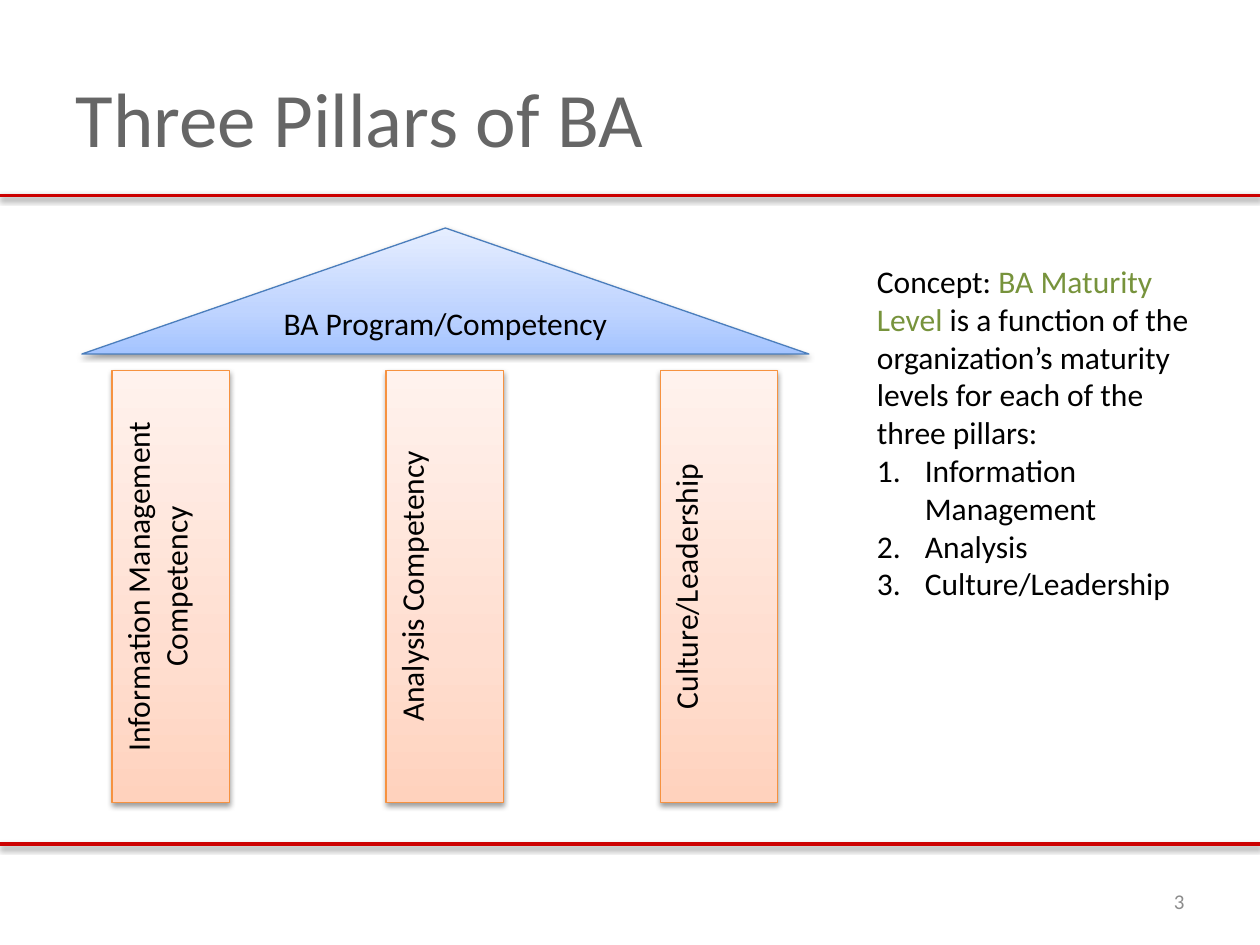
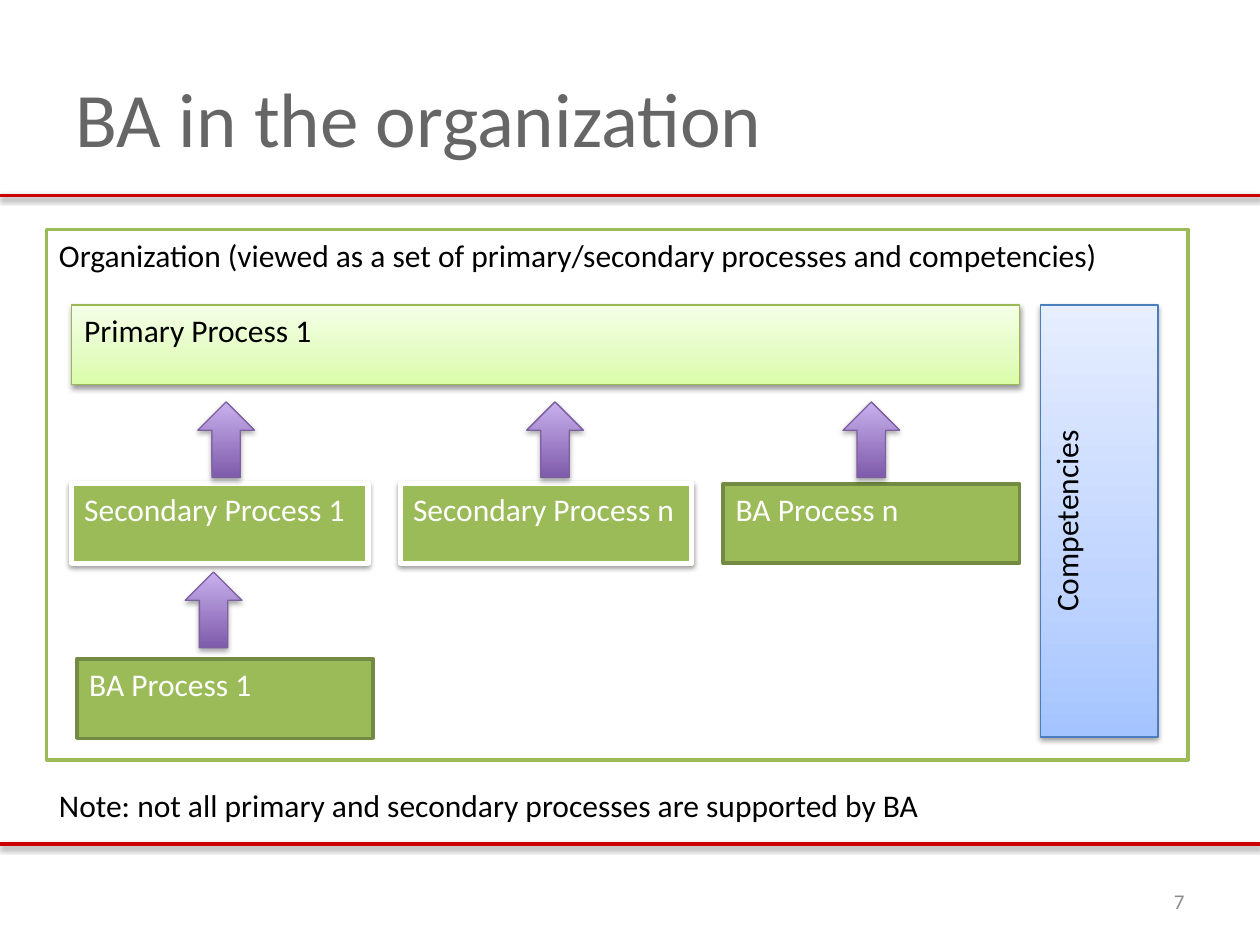
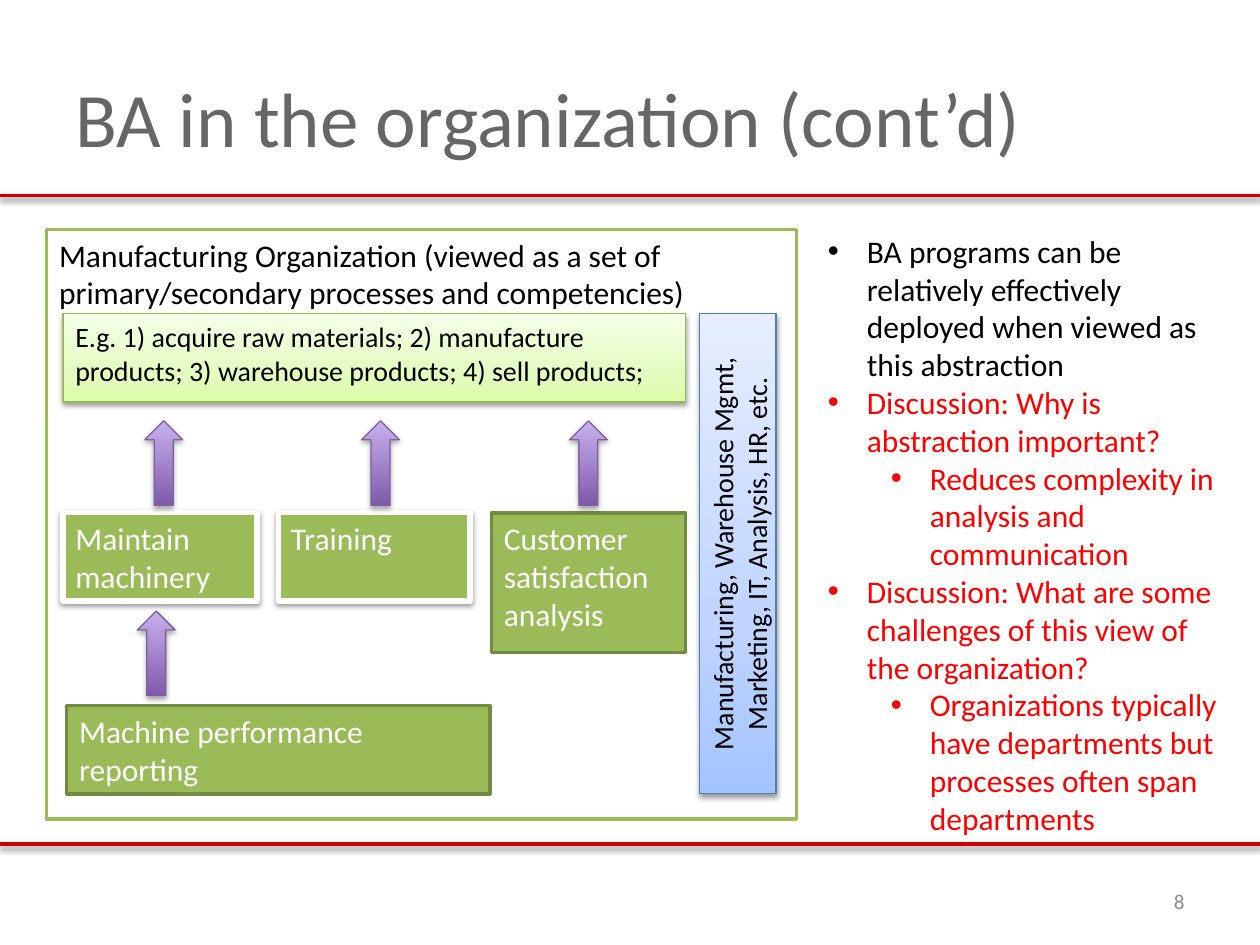
from lxml import etree
from pptx import Presentation
from pptx.dml.color import RGBColor
from pptx.enum.shapes import MSO_CONNECTOR, MSO_SHAPE
from pptx.enum.text import MSO_ANCHOR, MSO_AUTO_SIZE, PP_ALIGN
from pptx.oxml.ns import qn
from pptx.util import Inches, Pt

PROCESS, ROOF, ARROW = (MSO_SHAPE.FLOWCHART_PROCESS, MSO_SHAPE.ISOSCELES_TRIANGLE,
                        MSO_SHAPE.UP_ARROW)
STRAIGHT = MSO_CONNECTOR.STRAIGHT
LEFT, CENTER, RIGHT = PP_ALIGN.LEFT, PP_ALIGN.CENTER, PP_ALIGN.RIGHT
TOP, MIDDLE = MSO_ANCHOR.TOP, MSO_ANCHOR.MIDDLE
NO_AUTOFIT = MSO_AUTO_SIZE.NONE

FONT = "Calibri"
COLORS = {
    "title": "666666", "number": "8C8C8C", "band": "CC0000", "text": "000000",
    "white": "FFFFFF", "accent": "77933C", "discussion": "FF0000",
    "green": "9BBB59", "green edge": "98B955", "dark green": "738A42",
    "orange edge": "F69240", "blue edge": "4B7EBC", "purple edge": "7D60A0",
}
# Gradient stops run from the bottom edge up: (percent, colour).
GRADIENTS = {
    "orange": [(0, "FFD2BD"), (35, "FFDED0"), (100, "FFF2ED")],
    "blue": [(0, "A4C4FF"), (35, "BFD4FF"), (100, "E6EEFF")],
    "lime": [(0, "DAFDA7"), (35, "E4FCC2"), (100, "F5FFE7")],
    "purple": [(0, "7F5BAB"), (100, "C8B0ED")],
}
# Shadows: (opacity percent, distance in points)
SOFT, DEEP = (38, 1.6), (35, 1.8)
# Styles: (fill, line colour, line width, text colour, shadow)
STYLES = {
    "pillar": ("orange", "orange edge", 0.75, "text", SOFT),
    "competency": ("blue", "blue edge", 0.75, "text", SOFT),
    "panel": ("white", "green", 2, "text", None),
    "primary": ("lime", "green edge", 0.75, "text", SOFT),
    "secondary": ("green", "white", 3, "white", SOFT),
    "analytics": ("green", "dark green", 2, "white", None),
    "arrow": ("purple", "purple edge", 0.75, "text", DEEP),
}

PILLARS = ["Information Management Competency", "Analysis Competency", "Culture/Leadership"]
CONCEPT = [
    ("plain", [("Concept: ", "text"), ("BA Maturity Level", "accent"),
               (" is a function of the organization’s maturity levels"
                " for each of the three pillars:", "text")]),
    ("number", [("Information Management", "text")]),
    ("number", [("Analysis", "text")]),
    ("number", [("Culture/Leadership", "text")]),
]
DISCUSSION = [
    ("bullet", [("BA programs can be relatively effectively deployed when viewed"
                 " as this abstraction", "text")]),
    ("bullet", [("Discussion: Why is abstraction important?", "discussion")]),
    ("sub-bullet", [("Reduces complexity in analysis and communication", "discussion")]),
    ("bullet", [("Discussion: What are some challenges of this view of the organization?",
                 "discussion")]),
    ("sub-bullet", [("Organizations typically have departments but processes often span"
                     " departments", "discussion")]),
]
# List kinds: (level, left margin, hanging indent, bullet element, its attributes)
LIST_KINDS = {
    "plain": (0, 0, 0, "a:buNone", {}),
    "number": (0, 0.38, 0.38, "a:buAutoNum", {"type": "arabicPeriod"}),
    "bullet": (0, 0.31, 0.31, "a:buChar", {"char": "•"}),
    "sub-bullet": (1, 0.81, 0.31, "a:buChar", {"char": "•"}),
}

# Boxes: (style, text, (left, top, width, height), text size)
ORGANIZATION = {
    "boxes": [
        ("panel", "Organization (viewed as a set of primary/secondary processes and"
                  " competencies)", (0.37, 1.82, 9.06, 4.21), 18),
        ("primary", "Primary Process 1", (0.57, 2.42, 7.52, 0.63), 18),
        ("secondary", "Secondary Process 1", (0.57, 3.84, 2.35, 0.63), 18),
        ("secondary", "Secondary Process n", (3.18, 3.84, 2.31, 0.63), 18),
        ("analytics", "BA Process n", (5.74, 3.84, 2.35, 0.63), 18),
        ("analytics", "BA Process 1", (0.61, 5.23, 2.35, 0.63), 18),
        ("competency", "Competencies", (8.26, 2.42, 0.93, 3.43), 18),
    ],
    "arrow size": (0.45, 0.6),
    "arrow rows": [(3.19, [1.57, 4.18, 6.69]), (4.54, [1.47])],
}
MANUFACTURER = {
    "boxes": [
        ("panel", "Manufacturing Organization (viewed as a set of primary/secondary"
                  " processes and competencies)", (0.37, 1.82, 5.95, 4.68), 18),
        ("primary", "E.g. 1) acquire raw materials; 2) manufacture products; 3) warehouse"
                    " products; 4) sell products;", (0.5, 2.49, 4.94, 0.7), 16),
        ("secondary", "Maintain machinery", (0.5, 4.07, 1.54, 0.7), 18),
        ("secondary", "Training", (2.21, 4.07, 1.52, 0.7), 18),
        ("analytics", "Customer satisfaction analysis", (3.9, 4.07, 1.54, 1.11), 18),
        ("analytics", "Machine performance reporting", (0.53, 5.6, 3.36, 0.7), 18),
        ("competency", "Manufacturing, Warehouse Mgmt, Marketing, IT, Analysis, HR, etc.",
         (5.55, 2.49, 0.61, 3.81), 16),
    ],
    "arrow size": (0.3, 0.67),
    "arrow rows": [(3.34, [1.15, 2.87, 4.52]), (4.85, [1.09])],
}
NOTE = "Note: not all primary and secondary processes are supported by BA"


def rgb(name):
    return RGBColor.from_string(COLORS[name])


def set_font(font, size, color):
    font.name, font.size = FONT, Pt(size)
    font.color.rgb = rgb(color)


def place(shape, box):
    shape.left, shape.top, shape.width, shape.height = map(Inches, box)


def write(shape, text, size, color, align=LEFT, anchor=TOP):
    frame = shape.text_frame
    frame.word_wrap = True
    frame.vertical_anchor = anchor
    para = frame.paragraphs[0]
    para.text = text
    para.alignment = align
    set_font(para.font, size, color)


def add_shadow(effects, opacity, distance):
    shadow = etree.SubElement(effects, qn("a:outerShdw"), blurRad=str(Pt(3.1)),
                              dist=str(Pt(distance)), dir="5400000", rotWithShape="0")
    black = etree.SubElement(shadow, qn("a:srgbClr"), val=COLORS["text"])
    etree.SubElement(black, qn("a:alpha"), val=str(opacity * 1000))


def fill_gradient(shape, stops):
    shape.fill.gradient()
    shape.fill.gradient_angle = 90
    stop_list = shape.element.spPr.find(qn("a:gradFill")).find(qn("a:gsLst"))
    for old_stop in list(stop_list):
        stop_list.remove(old_stop)
    for percent, color in stops:
        stop = etree.SubElement(stop_list, qn("a:gs"), pos=str(percent * 1000))
        etree.SubElement(stop, qn("a:srgbClr"), val=color)


def add_styled(page, kind, style, box):
    fill, edge, width, _, shadow = STYLES[style]
    shape = page.shapes.add_shape(kind, *map(Inches, box))
    if fill in GRADIENTS:
        fill_gradient(shape, GRADIENTS[fill])
    else:
        shape.fill.solid()
        shape.fill.fore_color.rgb = rgb(fill)
    shape.line.color.rgb = rgb(edge)
    shape.line.width = Pt(width)
    shape.shadow.inherit = False
    if shadow:
        add_shadow(shape.element.spPr.find(qn("a:effectLst")), *shadow)
    return shape


def add_box(page, style, text, box, size=18):
    """Add a process box; pillars and competencies read upwards."""
    shape = add_styled(page, PROCESS, style, box)
    upright = style in ("pillar", "competency")
    write(shape, text, size, STYLES[style][3], CENTER if upright else LEFT)
    if upright:
        shape.text_frame._txBody.bodyPr.set("vert", "vert270")


def add_text(page, text, box, size, color, align=LEFT, anchor=TOP):
    write(page.shapes.add_textbox(*map(Inches, box)), text, size, color, align, anchor)


def add_page(deck, layout_name, title, number):
    page = deck.slides.add_slide(deck.slide_layouts.get_by_name(layout_name))
    place(page.shapes.title, (0.5, 0.3, 9, 1.25))
    write(page.shapes.title, title, 44, "title", anchor=MIDDLE)
    add_text(page, str(number), (7.17, 6.95, 2.33, 0.4), 12, "number", RIGHT, MIDDLE)
    return page


def add_master_bands(deck, page):
    """Draw the two red bands on the page, then move them to the slide master."""
    for band_id, top in enumerate((6.7, 1.55), start=20):
        band = page.shapes.add_connector(STRAIGHT, 0, Inches(top), deck.slide_width, Inches(top))
        band.line.color.rgb = rgb("band")
        band.line.width = Pt(2)
        add_shadow(etree.SubElement(band.element.spPr, qn("a:effectLst")), *SOFT)
        band.element.nvCxnSpPr.cNvPr.id = band_id
        deck.slide_master.shapes.element.append(band.element)


def fill_body(page, box, items):
    body = page.placeholders[1]
    place(body, box)
    frame = body.text_frame
    frame.auto_size = NO_AUTOFIT
    for index, (kind, spans) in enumerate(items):
        level, margin, hanging, bullet, attributes = LIST_KINDS[kind]
        para = frame.add_paragraph() if index else frame.paragraphs[0]
        para.level = level
        para.space_before = Pt(0)
        properties = para._p.get_or_add_pPr()
        properties.set("marL", str(Inches(margin)))
        properties.set("indent", str(-Inches(hanging)))
        typeface = "Arial" if bullet == "a:buChar" else FONT
        etree.SubElement(properties, qn("a:buFont"), typeface=typeface)
        etree.SubElement(properties, qn(bullet), attributes)
        set_font(para.font, 18, spans[0][1])
        for text, color in spans:
            span = para.add_run()
            span.text = text
            if color != spans[0][1]:
                span.font.color.rgb = rgb(color)


def add_diagram(page, diagram):
    for box in diagram["boxes"]:
        add_box(page, *box)
    for top, lefts in diagram["arrow rows"]:
        for left in lefts:
            add_styled(page, ARROW, "arrow", (left, top, *diagram["arrow size"]))


def main():
    deck = Presentation()
    deck.slide_width, deck.slide_height = Inches(10), Inches(7.5)

    page = add_page(deck, "Title and Content", "Three Pillars of BA", 3)
    add_master_bands(deck, page)
    for index, pillar in enumerate(PILLARS):
        add_box(page, "pillar", pillar, (0.89 + index * 2.175, 2.94, 0.93, 3.43))
    roof = add_styled(page, ROOF, "competency", (0.65, 1.81, 5.77, 1))
    write(roof, "BA Program/Competency", 18, "text", CENTER, MIDDLE)
    fill_body(page, (6.86, 2.03, 2.72, 2.83), CONCEPT)

    page = add_page(deck, "Title Only", "BA in the organization", 7)
    add_diagram(page, ORGANIZATION)
    add_text(page, NOTE, (0.37, 6.19, 9.06, 0.4), 18, "text")

    page = add_page(deck, "Title and Content", "BA in the organization (cont’d)", 8)
    add_diagram(page, MANUFACTURER)
    fill_body(page, (6.47, 1.79, 3.43, 4.95), DISCUSSION)

    deck.save("out.pptx")


if __name__ == "__main__":
    main()
